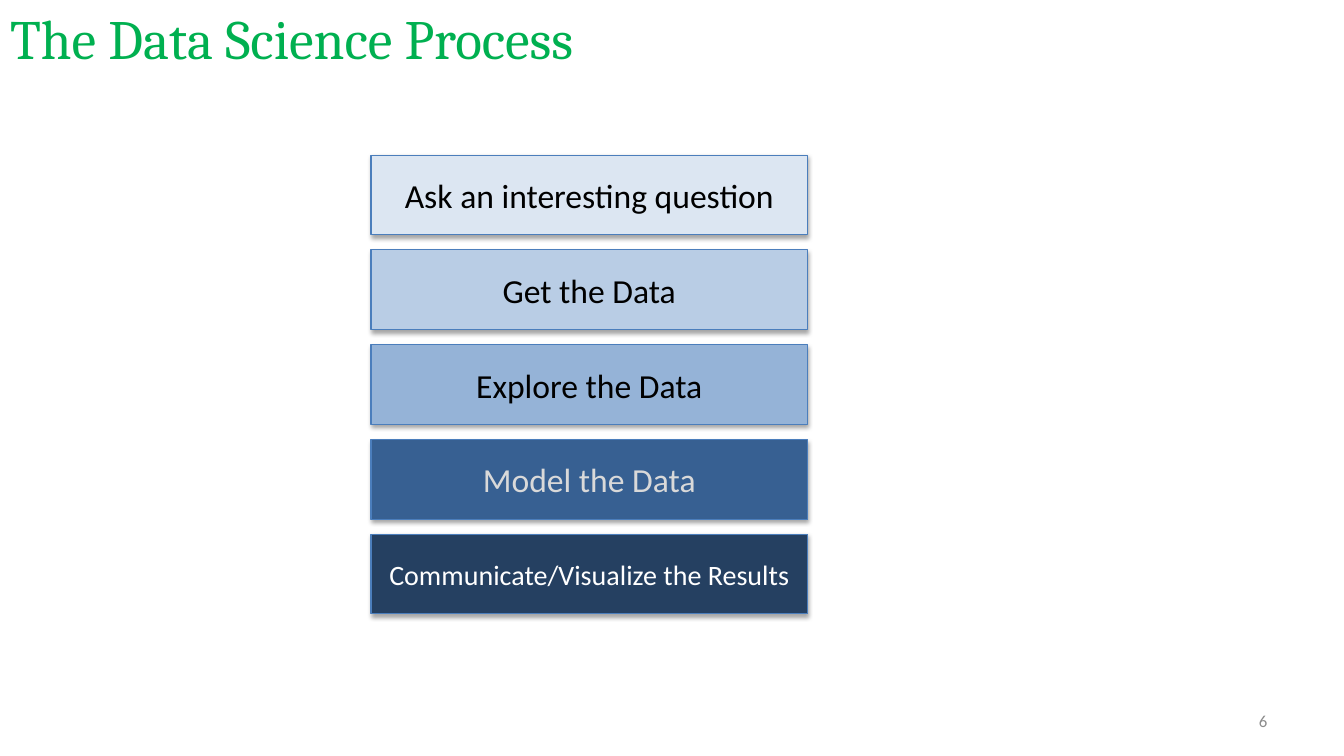
import pptx
import pptx.dml.color
import pptx.enum.shapes
import pptx.enum.text
import pptx.oxml
import pptx.oxml.ns
import pptx.util
from pptx.util import Inches

COLORS = {
    "title": "00B050", "outline": "4B7EBC", "number": "8C8C8C",
    "black": "000000", "gray": "D9D9D9", "white": "FFFFFF",
}
TITLE = "The Data Science Process"
PAGE_NUMBER = "6"
# Label, bar fill, text color, text size
STEPS = [
    ("Ask an interesting question", "DCE6F2", "black", 24),
    ("Get the Data", "B9CDE5", "black", 24),
    ("Explore the Data", "95B3D7", "black", 24),
    ("Model the Data", "376092", "gray", 24),
    ("Communicate/Visualize the Results", "254061", "white", 20),
]
BAR_LEFT, BAR_TOP, BAR_WIDTH, BAR_HEIGHT, BAR_PITCH = 3.68, 1.54, 4.33, 0.79, 0.94
ALIGN = pptx.enum.text.PP_ALIGN


def rgb(value):
    return pptx.dml.color.RGBColor.from_string(value)


def write(box, text, *, size, color, font="Calibri", align=ALIGN.CENTER, wrap=True):
    frame = box.text_frame
    frame.word_wrap = wrap
    frame.auto_size = pptx.enum.text.MSO_AUTO_SIZE.NONE
    frame.vertical_anchor = pptx.enum.text.MSO_ANCHOR.MIDDLE
    para = frame.paragraphs[0]
    para.alignment = align
    span = para.add_run()
    span.text = text
    span.font.name = font
    span.font.size = pptx.util.Pt(size)
    span.font.color.rgb = rgb(COLORS[color])


def add_shadow(shape):
    shape.shadow.inherit = False
    effects = shape._element.spPr.find(pptx.oxml.ns.qn("a:effectLst"))
    effects.append(pptx.oxml.parse_xml(
        f'<a:outerShdw {pptx.oxml.ns.nsdecls("a")} blurRad="40000" dist="23000" '
        'dir="5400000" rotWithShape="0"><a:srgbClr val="000000">'
        '<a:alpha val="35000"/></a:srgbClr></a:outerShdw>'))


def main():
    deck = pptx.Presentation()
    deck.slide_width, deck.slide_height = Inches(13.33), Inches(7.5)
    page = deck.slides.add_slide(deck.slide_layouts.get_by_name("Title Only"))

    # Title
    title = page.shapes.title
    title.left, title.top = Inches(0), Inches(0.05)
    title.width, title.height = Inches(11.5), Inches(0.65)
    write(title, TITLE, size=39.6, color="title", font="Cambria", align=ALIGN.LEFT)

    # Process steps
    for index, (label, fill, color, size) in enumerate(STEPS):
        bar = page.shapes.add_shape(
            pptx.enum.shapes.MSO_SHAPE.RECTANGLE,
            Inches(BAR_LEFT), Inches(BAR_TOP + index * BAR_PITCH),
            Inches(BAR_WIDTH), Inches(BAR_HEIGHT))
        bar.fill.solid()
        bar.fill.fore_color.rgb = rgb(fill)
        bar.line.color.rgb = rgb(COLORS["outline"])
        bar.line.width = pptx.util.Pt(0.75)
        add_shadow(bar)
        write(bar, label, size=size, color=color, wrap=False)

    # Page number
    number = page.shapes.add_textbox(Inches(9.56), Inches(6.95), Inches(3.11), Inches(0.4))
    write(number, PAGE_NUMBER, size=12, color="number", align=ALIGN.RIGHT)

    deck.save("out.pptx")


if __name__ == "__main__":
    main()
